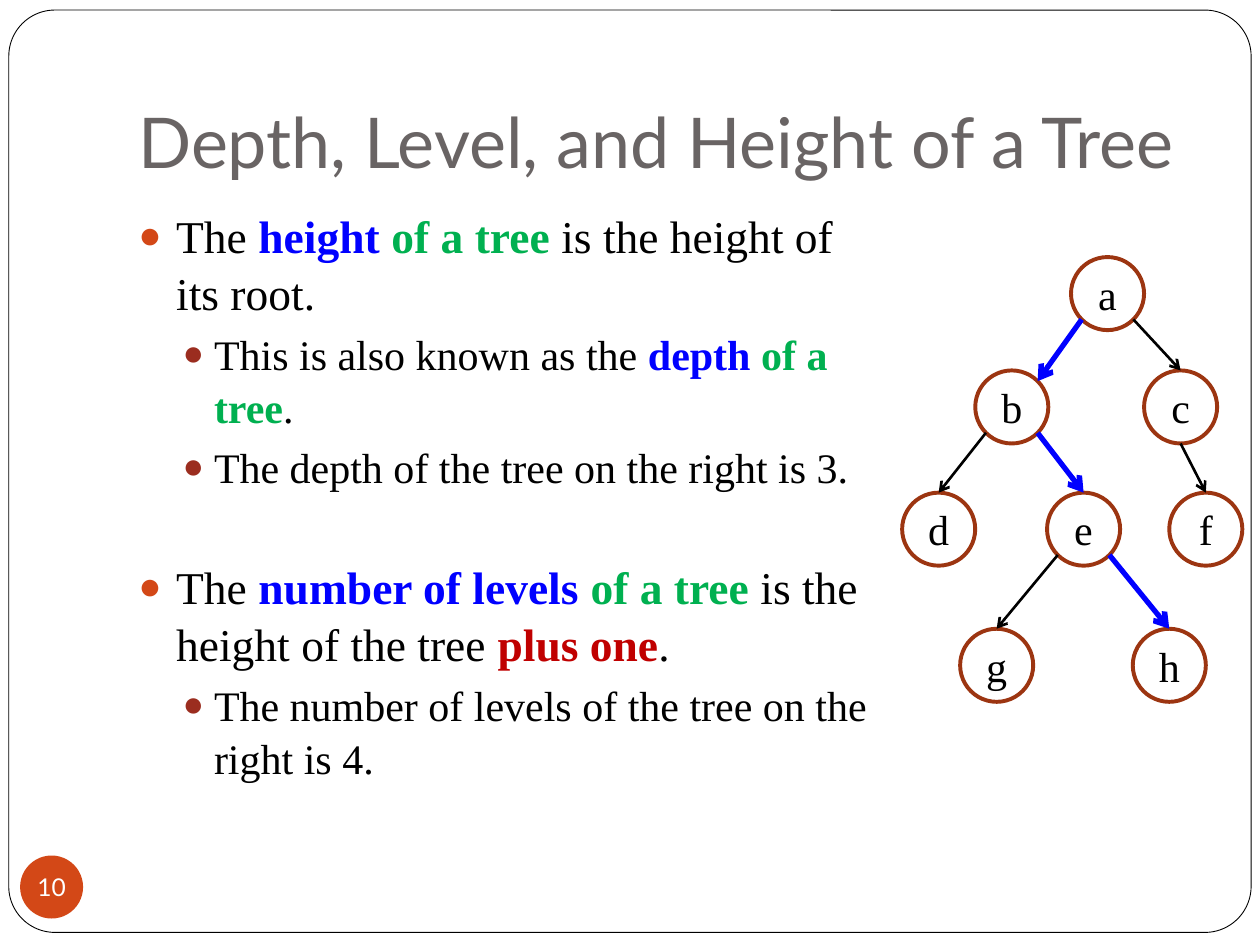
from math import cos, radians, sin

from lxml.etree import SubElement
from pptx import Presentation
from pptx.dml.color import RGBColor
from pptx.enum.shapes import MSO_CONNECTOR, MSO_SHAPE
from pptx.enum.text import MSO_ANCHOR, PP_ALIGN
from pptx.oxml.ns import qn
from pptx.util import Inches, Pt

SERIF, SANS = "Times New Roman", "Lato"
BLACK, WHITE, BLUE, GREEN, RED = "000000", "FFFFFF", "0000FF", "00B050", "C00000"
ORANGE, BRICK, BROWN, GRAY = "D34817", "9B2D1F", "9C3511", "696464"
COLUMNS, ROWS = 100, 75
NODE_SIZE = 5.8
LEVELS = {0: (26, 0.3, -0.3, 5.8, ORANGE), 1: (24, 0.6, -0.25, 3.7, BRICK)}
SECTION_GAP = 37
SITES = {"top": -90, "top right": -45, "bottom right": 45, "bottom": 90, "bottom left": 135}

BODY = [
    (0, None, [("The ", BLACK), ("height ", BLUE), ("of a tree ", GREEN),
               ("is the height of its root.", BLACK)]),
    (1, None, [("This is also known as the ", BLACK), ("depth", BLUE),
               (" of a tree", GREEN), (".", BLACK)]),
    (1, None, [("The depth of the tree on the right is 3.", BLACK)]),
    (0, SECTION_GAP, [("The ", BLACK), ("number of levels ", BLUE), ("of a tree", GREEN),
                      (" is the height of the tree ", BLACK), ("plus one", RED), (".", BLACK)]),
    (1, None, [("The number of levels of the tree on the right is 4.", BLACK)]),
]
NODES = {
    "a": (85, 20.4), "b": (77.4, 29.4), "c": (90.8, 29.4), "d": (71.6, 39.1),
    "e": (83.1, 39.1), "f": (92.8, 39.1), "g": (76.2, 49.9), "h": (89.9, 49.9),
}
EDGES = [
    ("a", "bottom left", "b", "top right", True),
    ("b", "bottom left", "d", "top", False),
    ("b", "bottom right", "e", "top", True),
    ("a", "bottom right", "c", "top", False),
    ("c", "bottom", "f", "top", False),
    ("e", "bottom left", "g", "top", False),
    ("e", "bottom right", "h", "top", True),
]


def color(value):
    """Turn a hex string into a colour."""
    return RGBColor.from_string(value)


class TreeSlide:
    """Draws styled elements on one slide, placed by columns and rows."""

    def __init__(self, presentation):
        """Add a blank slide and measure its grid."""
        self.slide = presentation.slides.add_slide(presentation.slide_layouts[6])
        self.column = presentation.slide_width / COLUMNS
        self.row = presentation.slide_height / ROWS

    def place(self, left, top, width, height):
        """Convert grid units to slide lengths."""
        return (round(left * self.column), round(top * self.row),
                round(width * self.column), round(height * self.row))

    def run(self, paragraph, text, size, font, hue, bold=False):
        """Add one styled run."""
        run = paragraph.add_run()
        run.text = text
        run.font.size, run.font.name, run.font.bold = Pt(size), font, bold
        run.font.color.rgb = color(hue)

    def shape(self, kind, box, fill=None, line=None, weight=0):
        """Add a preset shape."""
        shape = self.slide.shapes.add_shape(kind, *self.place(*box))
        shape.shadow.inherit = False
        if fill:
            shape.fill.solid()
            shape.fill.fore_color.rgb = color(fill)
        else:
            shape.fill.background()
        if line:
            shape.line.color.rgb = color(line)
            shape.line.width = Pt(weight)
        else:
            shape.line.fill.background()
        return shape

    def circle(self, box, text, size, font, hue, **style):
        """Add a circle with a centred label."""
        shape = self.shape(MSO_SHAPE.OVAL, box, **style)
        frame = shape.text_frame
        frame.margin_left = frame.margin_right = frame.margin_top = frame.margin_bottom = 0
        frame.word_wrap = False
        frame.vertical_anchor = MSO_ANCHOR.MIDDLE
        frame.paragraphs[0].alignment = PP_ALIGN.CENTER
        self.run(frame.paragraphs[0], text, size, font, hue)
        return shape

    def text_box(self, box):
        """Add a wrapping text box and return its frame."""
        frame = self.slide.shapes.add_textbox(*self.place(*box)).text_frame
        frame.word_wrap = True
        return frame

    def title(self, box, text):
        """Add the slide title."""
        frame = self.text_box(box)
        frame.vertical_anchor = MSO_ANCHOR.BOTTOM
        frame.margin_bottom = Inches(0.1)
        self.run(frame.paragraphs[0], text, 40, SANS, GRAY)

    def bullets(self, box, items):
        """Add a two-level bulleted list."""
        frame = self.text_box(box)
        for index, (level, gap, runs) in enumerate(items):
            size, margin, indent, before, bullet = LEVELS[level]
            paragraph = frame.paragraphs[0] if index == 0 else frame.add_paragraph()
            paragraph.level = level
            paragraph.space_before = Pt(gap or before)
            paragraph.line_spacing = 1.05
            properties = paragraph._p.get_or_add_pPr()
            properties.set("marL", str(Inches(margin)))
            properties.set("indent", str(Inches(indent)))
            SubElement(SubElement(properties, qn("a:buClr")), qn("a:srgbClr"), val=bullet)
            SubElement(properties, qn("a:buSzPct"), val="85000")
            SubElement(properties, qn("a:buFont"), typeface=SERIF)
            SubElement(properties, qn("a:buChar"), char="●")
            for text, hue in runs:
                self.run(paragraph, text, size, SERIF, hue, hue != BLACK)

    def site(self, node, name):
        """Find a named point on the rim of a node."""
        angle, radius = radians(SITES[name]), node.width / 2
        return (round(node.left + radius * (1 + cos(angle))),
                round(node.top + radius * (1 + sin(angle))))

    def arrow(self, parent, start, child, end, highlighted):
        """Add an arrow from parent to child."""
        connector = self.slide.shapes.add_connector(
            MSO_CONNECTOR.STRAIGHT, *self.site(parent, start), *self.site(child, end))
        if end == "top":
            connector.end_connect(child, 0)
        connector.line.color.rgb = color(BLUE if highlighted else BLACK)
        connector.line.width = Pt(3 if highlighted else 1.5)
        SubElement(connector.line._get_or_add_ln(), qn("a:tailEnd"), type="arrow")
        SubElement(connector._element.spPr, qn("a:effectLst"))


def main():
    """Build the slide and save it."""
    presentation = Presentation()
    presentation.slide_width, presentation.slide_height = Inches(10), Inches(7.5)
    page = TreeSlide(presentation)
    frame = page.shape(MSO_SHAPE.ROUNDED_RECTANGLE, (0.7, 0.8, 98.6, 73.2), WHITE, BLACK, 0.5)
    frame.adjustments[0] = 0.05
    page.title((10, 3, 85, 12.5), "Depth, Level, and Height of a Tree")
    page.circle((1.6, 67.9, 5, 5), "10", 14, SANS, WHITE, fill=ORANGE)
    page.bullets((10, 15.8, 60.8, 50), BODY)
    nodes = {
        name: page.circle((*corner, NODE_SIZE, NODE_SIZE), name, 24, SERIF, BLACK,
                          line=BROWN, weight=2.25)
        for name, corner in NODES.items()
    }
    for parent, start, child, end, highlighted in EDGES:
        page.arrow(nodes[parent], start, nodes[child], end, highlighted)
    presentation.save("out.pptx")


if __name__ == "__main__":
    main()
